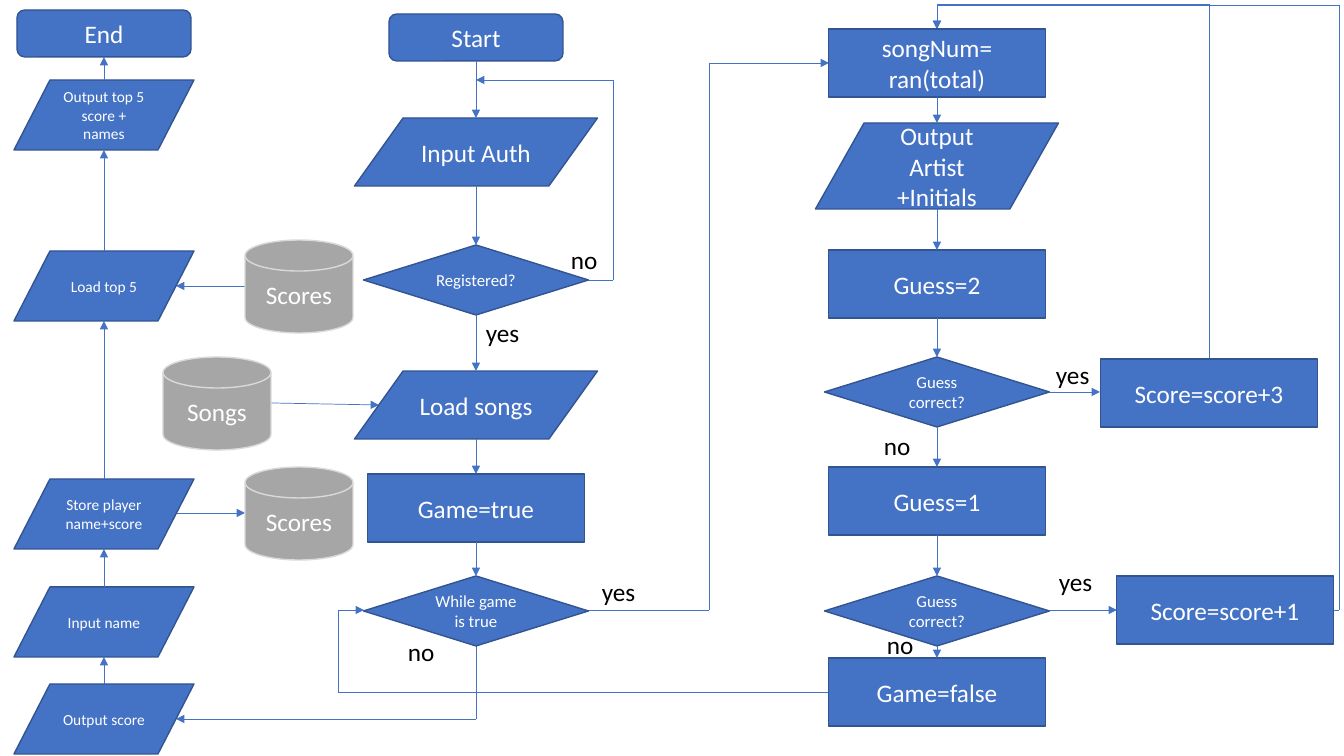
import dataclasses
import itertools

import pptx
import pptx.dml.color
import pptx.enum.shapes
import pptx.enum.text
import pptx.oxml
import pptx.oxml.ns
import pptx.util

EMU_PER_PX = 12192000 / 1344
SHAPE = pptx.enum.shapes.MSO_SHAPE


@dataclasses.dataclass(frozen=True)
class Theme:
    font: str = "Calibri"
    blue: str = "4472C4"
    outline: str = "325491"
    grey: str = "A6A6A6"
    pale: str = "D9D9D9"
    white: str = "FFFFFF"
    black: str = "000000"
    large: int = 18
    medium: int = 12
    small: int = 11
    border: float = 1
    arrow: float = 0.5


THEME = Theme()


@dataclasses.dataclass(frozen=True)
class Kind:
    preset: int
    width: int
    height: int
    size: int = THEME.large
    fill: str = THEME.blue
    line: str = THEME.outline


TERMINAL = Kind(SHAPE.FLOWCHART_ALTERNATE_PROCESS, 174, 47)
PROCESS = Kind(SHAPE.RECTANGLE, 217, 68)
DECISION = Kind(SHAPE.FLOWCHART_DECISION, 225, 70, THEME.medium)
DATA = Kind(SHAPE.FLOWCHART_DATA, 243, 68)
TALL_DATA = dataclasses.replace(DATA, height=86)
SMALL_DATA = Kind(SHAPE.FLOWCHART_DATA, 180, 70, THEME.small)
DISK = Kind(SHAPE.FLOWCHART_MAGNETIC_DISK, 108, 93,
            fill=THEME.grey, line=THEME.pale)

# Column centres and steps in flow order: kind, top, text
LEFT, MIDDLE, RIGHT = 104, 476, 937
COLUMNS = {
    LEFT: [
        (SMALL_DATA, 684, "Output score"),
        (SMALL_DATA, 587, "Input name"),
        (SMALL_DATA, 479, "Store player name+score"),
        (SMALL_DATA, 251, "Load top 5"),
        (SMALL_DATA, 80, "Output top 5 score + names"),
        (TERMINAL, 10, "End"),
    ],
    MIDDLE: [
        (TERMINAL, 14, "Start"),
        (DATA, 118, "Input Auth"),
        (DECISION, 245, "Registered?"),
        (DATA, 371, "Load songs"),
        (PROCESS, 474, "Game=true"),
        (DECISION, 576, "While game is true"),
    ],
    RIGHT: [
        (PROCESS, 29, "songNum=\nran(total)"),
        (TALL_DATA, 123, "Output Artist +Initials"),
        (PROCESS, 250, "Guess=2"),
        (DECISION, 357, "Guess correct?"),
        (PROCESS, 467, "Guess=1"),
        (DECISION, 576, "Guess correct?"),
        (PROCESS, 658, "Game=false"),
    ],
}

# Steps beside the columns: kind, centre, top, text
SIDE_STEPS = [
    (DISK, 217, 357, "Songs"),
    (DISK, 299, 240, "Scores"),
    (DISK, 299, 467, "Scores"),
    (PROCESS, 1209, 359, "Score=score+3"),
    (PROCESS, 1225, 576, "Score=score+1"),
]

# Arrows between columns, as the points they pass through
ROUTES = [
    [(271, 403), (379, 405)],
    [(245, 286), (176, 286)],
    [(176, 513), (245, 513)],
    [(1050, 392), (1100, 392)],
    [(1050, 610), (1117, 610)],
    [(588, 280), (613, 280), (613, 80), (MIDDLE, 80)],
    [(588, 610), (709, 610), (709, 63), (829, 63)],
    [(829, 692), (338, 692), (338, 610), (364, 610)],
    [(MIDDLE, 646), (MIDDLE, 719), (176, 719)],
    [(1209, 359), (1209, 4), (RIGHT, 4), (RIGHT, 29)],
    [(1333, 610), (1339, 610), (1339, 5), (RIGHT, 5), (RIGHT, 29)],
]

# Branch labels: left, top, text
LABELS = [
    (561, 239, "no"), (476, 312, "yes"), (592, 571, "yes"), (398, 631, "no"),
    (1046, 354, "yes"), (874, 425, "no"), (1049, 561, "yes"), (877, 624, "no"),
]


def px(value):
    return pptx.util.Emu(round(value * EMU_PER_PX))


def rgb(value):
    return pptx.dml.color.RGBColor.from_string(value)


def write(tf, text, *, size=THEME.large, color=THEME.black, align=None):
    for i, line in enumerate(text.split("\n")):
        p = tf.add_paragraph() if i else tf.paragraphs[0]
        p.alignment = align
        r = p.add_run()
        r.text = line
        r.font.name = THEME.font
        r.font.size = pptx.util.Pt(size)
        r.font.color.rgb = rgb(color)


def add_step(s, kind, centre, top, text):
    sp = s.shapes.add_shape(kind.preset, px(centre - kind.width / 2), px(top),
                            px(kind.width), px(kind.height))
    sp.shadow.inherit = False
    sp.fill.solid()
    sp.fill.fore_color.rgb = rgb(kind.fill)
    sp.line.color.rgb = rgb(kind.line)
    sp.line.width = pptx.util.Pt(THEME.border)
    sp.text_frame.vertical_anchor = pptx.enum.text.MSO_ANCHOR.MIDDLE
    write(sp.text_frame, text, size=kind.size, color=THEME.white,
          align=pptx.enum.text.PP_ALIGN.CENTER)


def add_arrow(s, points):
    """Draw a route through the points, with an arrowhead at its end."""
    for start, end in itertools.pairwise(points):
        c = s.shapes.add_connector(pptx.enum.shapes.MSO_CONNECTOR.STRAIGHT,
                                   *map(px, start + end))
        c.line.color.rgb = rgb(THEME.blue)
        c.line.width = pptx.util.Pt(THEME.arrow)
        props = c.element.spPr
        props.append(pptx.oxml.xmlchemy.OxmlElement("a:effectLst"))
    head = pptx.oxml.xmlchemy.OxmlElement("a:tailEnd")
    head.set("type", "triangle")
    props.find(pptx.oxml.ns.qn("a:ln")).append(head)


def add_column(s, centre, steps):
    for kind, top, text in steps:
        add_step(s, kind, centre, top, text)
    for (kind, top, _), (next_kind, next_top, _) in itertools.pairwise(steps):
        if next_top > top:
            ends = top + kind.height, next_top
        else:
            ends = top, next_top + next_kind.height
        add_arrow(s, [(centre, y) for y in ends])


def add_label(s, left, top, text):
    tb = s.shapes.add_textbox(px(left), px(top), px(54 if text == "yes" else 47),
                              px(40))
    tb.text_frame.word_wrap = False
    write(tb.text_frame, text)


def main():
    prs = pptx.Presentation()
    prs.slide_width, prs.slide_height = px(1344), px(756)
    s = prs.slides.add_slide(prs.slide_layouts[6])

    # Routes lie behind the steps
    for points in ROUTES:
        add_arrow(s, points)

    # Main columns and the steps beside them
    for centre, steps in COLUMNS.items():
        add_column(s, centre, steps)
    for step in SIDE_STEPS:
        add_step(s, *step)

    # Branch labels
    for label in LABELS:
        add_label(s, *label)

    prs.save("out.pptx")


if __name__ == "__main__":
    main()
